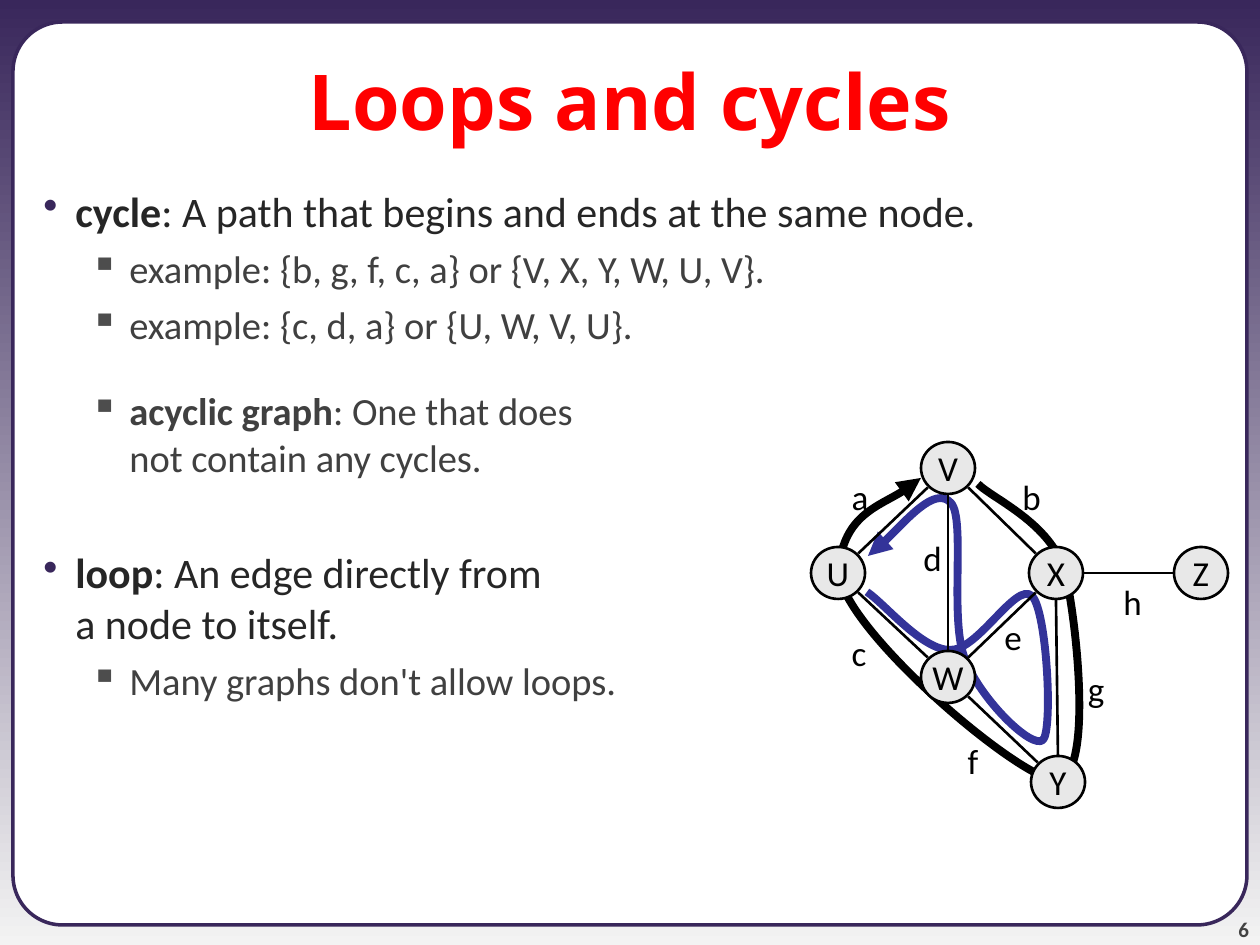
import pptx
import pptx.util
import pptx.oxml.ns
import pptx.oxml.xmlchemy
import pptx.dml.color
import pptx.enum.shapes
import pptx.enum.text

# Content: level, space before (pt), then (text, bold) pieces
TITLE = "Loops and cycles"
PAGE = "6"
BODY = [
    (0, 0, [("cycle", True), (": A path that begins and ends at the same node.", False)]),
    (1, 5.5, [("example: {b, g, f, c, a} or {V, X, Y, W, U, V}.", False)]),
    (1, 5.5, [("example: {c, d, a} or {U, W, V, U}.", False)]),
    (1, 23, [("acyclic graph", True), (": One that does\nnot contain any cycles.", False)]),
    (0, 38.4, [("loop", True), (": An edge directly from\na node to itself.", False)]),
    (1, 5.5, [("Many graphs don't allow loops.", False)]),
]
NODES = {"X": (1056, 573), "U": (838, 573), "V": (948, 468),
         "W": (948, 677), "Z": (1201, 573), "Y": (1058, 782)}
EDGES = ["VU", "WU", "WX", "XZ", "VX", "VW", "WY", "XY"]
LABELS = {"a": (860, 496), "c": (859, 652), "b": (1031, 496), "e": (1013, 636),
          "d": (932, 557), "f": (973, 760), "g": (1096, 688), "h": (1132, 601)}

# Cycles: start point, then three points for each Bezier curve
OUTER_CYCLE = [
    (978, 484),
    (993, 499), (1051, 523), (1065, 572),
    (1077, 621), (1094, 781), (1056, 780),
    (1019, 780), (834, 622), (839, 568),
    (844, 515), (903, 496), (921, 478),
]
INNER_CYCLE = [
    (868, 556),
    (882, 547), (935, 485), (951, 503),
    (966, 519), (949, 620), (965, 659),
    (980, 699), (1032, 750), (1043, 740),
    (1053, 730), (1047, 611), (1032, 596),
    (1016, 581), (978, 651), (950, 650),
    (922, 650), (885, 604), (867, 592),
]

THEME = {
    "purple": "39275B", "pale": "F3F3F3", "white": "FFFFFF", "red": "FF0000",
    "black": "000000", "blue": "333399", "node": "E8E8E8", "page": "424242",
    "title_font": "Noto Sans", "font": "Calibri",
    "title_size": 44, "graph_size": 20, "page_size": 12,
    "levels": [
        {"size": 24, "color": "262626", "bullet": "•", "bullet_color": "39275B",
         "margin": 63, "indent": -32},
        {"size": 22, "color": "404040", "bullet": "▪", "bullet_color": "4D4D4D",
         "margin": 117, "indent": -39},
    ],
}
SCALE = 914400 / 126
NODE_WIDTH, NODE_HEIGHT = 54, 52
ALIGN = pptx.enum.text.PP_ALIGN
ANCHOR = pptx.enum.text.MSO_ANCHOR
SHAPE = pptx.enum.shapes.MSO_SHAPE


def px(*lengths):
    return [pptx.util.Emu(round(length * SCALE)) for length in lengths]


def rgb(value):
    return pptx.dml.color.RGBColor.from_string(value)


def add_element(parent, tag, **attributes):
    element = pptx.oxml.xmlchemy.OxmlElement(tag)
    for name, value in attributes.items():
        element.set(name, str(value))
    parent.append(element)
    return element


def set_format(target, values):
    for name, value in values.items():
        setattr(target, name, value)


def set_line(shape, color, width):
    shape.line.color.rgb = rgb(color)
    shape.line.width = pptx.util.Pt(width)


def set_font(font, size, color, name=THEME["font"], bold=False):
    set_format(font, {"size": pptx.util.Pt(size), "name": name, "bold": bold})
    font.color.rgb = rgb(color)


def write(shape, text, font, align, frame_format):
    set_format(shape.text_frame, frame_format)
    paragraph = shape.text_frame.paragraphs[0]
    paragraph.alignment = align
    run = paragraph.add_run()
    run.text = text
    set_font(run.font, **font)


def add_preset(shapes, kind, box, fill, line, width):
    shape = shapes.add_shape(kind, *px(*box))
    shape.shadow.inherit = False
    shape.fill.solid()
    shape.fill.fore_color.rgb = rgb(fill)
    set_line(shape, line, width)
    return shape


def add_cycle(shapes, points, color, arrow_end):
    builder = shapes.build_freeform(*points[0], scale=SCALE)
    builder.add_line_segments(points[1:], close=False)
    shape = builder.convert_to_shape()
    shape.shadow.inherit = False
    shape.fill.background()
    set_line(shape, color, 4.5)
    add_element(shape.line._get_or_add_ln(), arrow_end, type="triangle")
    # Join each three straight segments into one Bezier curve
    segments = list(shape._element.iter(pptx.oxml.ns.qn("a:lnTo")))
    outline = segments[0].getparent()
    for start in range(0, len(segments), 3):
        curve = add_element(outline, "a:cubicBezTo")
        for segment in segments[start:start + 3]:
            curve.append(segment[0])
            outline.remove(segment)


def add_body(shapes):
    frame = shapes.add_textbox(*px(0, 179, 1260, 766)).text_frame
    frame.word_wrap = True
    for index, (level, before, pieces) in enumerate(BODY):
        style = THEME["levels"][level]
        paragraph = frame.add_paragraph() if index else frame.paragraphs[0]
        paragraph.level = level
        properties = paragraph._p.get_or_add_pPr()
        for name, length in zip(("marL", "indent"), px(style["margin"], style["indent"])):
            properties.set(name, str(int(length)))
        bullet_color = add_element(properties, "a:buClr")
        add_element(bullet_color, "a:srgbClr", val=style["bullet_color"])
        add_element(properties, "a:buChar", char=style["bullet"])
        if index:
            paragraph.space_before = pptx.util.Pt(before)
        for text, bold in pieces:
            for number, line in enumerate(text.split("\n")):
                if number:
                    paragraph.add_line_break()
                run = paragraph.add_run()
                run.text = line
                set_font(run.font, style["size"], style["color"], bold=bold)


def edge_end(center, other):
    # Point of the node's outline in the nearest of eight directions
    steps = [0 if abs(b - a) < 10 else (1 if b > a else -1) for a, b in zip(center, other)]
    reach = 0.75 if all(steps) else 1
    radii = (NODE_WIDTH / 2, NODE_HEIGHT / 2)
    return [a + step * reach * radius for a, step, radius in zip(center, steps, radii)]


def add_graph(shapes):
    font = {"size": THEME["graph_size"], "color": THEME["black"]}
    for name, (x, y) in NODES.items():
        box = (x - NODE_WIDTH / 2, y - NODE_HEIGHT / 2, NODE_WIDTH, NODE_HEIGHT)
        node = add_preset(shapes, SHAPE.OVAL, box, THEME["node"], THEME["black"], 1.5)
        write(node, name, font, ALIGN.CENTER,
              {"word_wrap": False, "vertical_anchor": ANCHOR.MIDDLE})
    for first, second in EDGES:
        a, b = NODES[first], NODES[second]
        edge = shapes.add_connector(pptx.enum.shapes.MSO_CONNECTOR.STRAIGHT,
                                    *px(*edge_end(a, b), *edge_end(b, a)))
        set_line(edge, THEME["black"], 1.5)
        add_element(edge._element.spPr, "a:effectLst")
    for name, (x, y) in LABELS.items():
        label = shapes.add_textbox(*px(x - 21, y - 27, 42, 55))
        write(label, name, font, ALIGN.CENTER, {"word_wrap": True})


def main():
    presentation = pptx.Presentation()
    presentation.slide_width, presentation.slide_height = px(1260, 945)
    slide = presentation.slides.add_slide(presentation.slide_layouts[6])
    shapes = slide.shapes

    # Background and panel
    fill = slide.background.fill
    fill.gradient()
    fill.gradient_angle = 270
    for stop, color in zip(fill.gradient_stops, (THEME["purple"], THEME["pale"])):
        stop.color.rgb = rgb(color)
    panel = add_preset(shapes, SHAPE.ROUNDED_RECTANGLE, (13, 22, 1234, 903),
                       THEME["white"], THEME["purple"], 2)
    panel.adjustments[0] = 0.055

    # Page number, title and body
    write(shapes.add_textbox(*px(1144, 892, 105, 50)), PAGE,
          {"size": THEME["page_size"], "color": THEME["page"], "bold": True}, ALIGN.RIGHT,
          {"word_wrap": True, "vertical_anchor": ANCHOR.BOTTOM, "margin_left": 0,
           "margin_top": 0, "margin_right": 0, "margin_bottom": 0})
    write(shapes.add_textbox(*px(0, 21, 1260, 158)), TITLE,
          {"size": THEME["title_size"], "color": THEME["red"],
           "name": THEME["title_font"], "bold": True}, ALIGN.CENTER,
          {"word_wrap": True, "vertical_anchor": ANCHOR.MIDDLE})
    add_body(shapes)

    # Cycles behind the graph
    add_cycle(shapes, OUTER_CYCLE, THEME["black"], "a:tailEnd")
    add_cycle(shapes, INNER_CYCLE, THEME["blue"], "a:headEnd")
    add_graph(shapes.add_group_shape().shapes)
    presentation.save("out.pptx")


if __name__ == "__main__":
    main()
